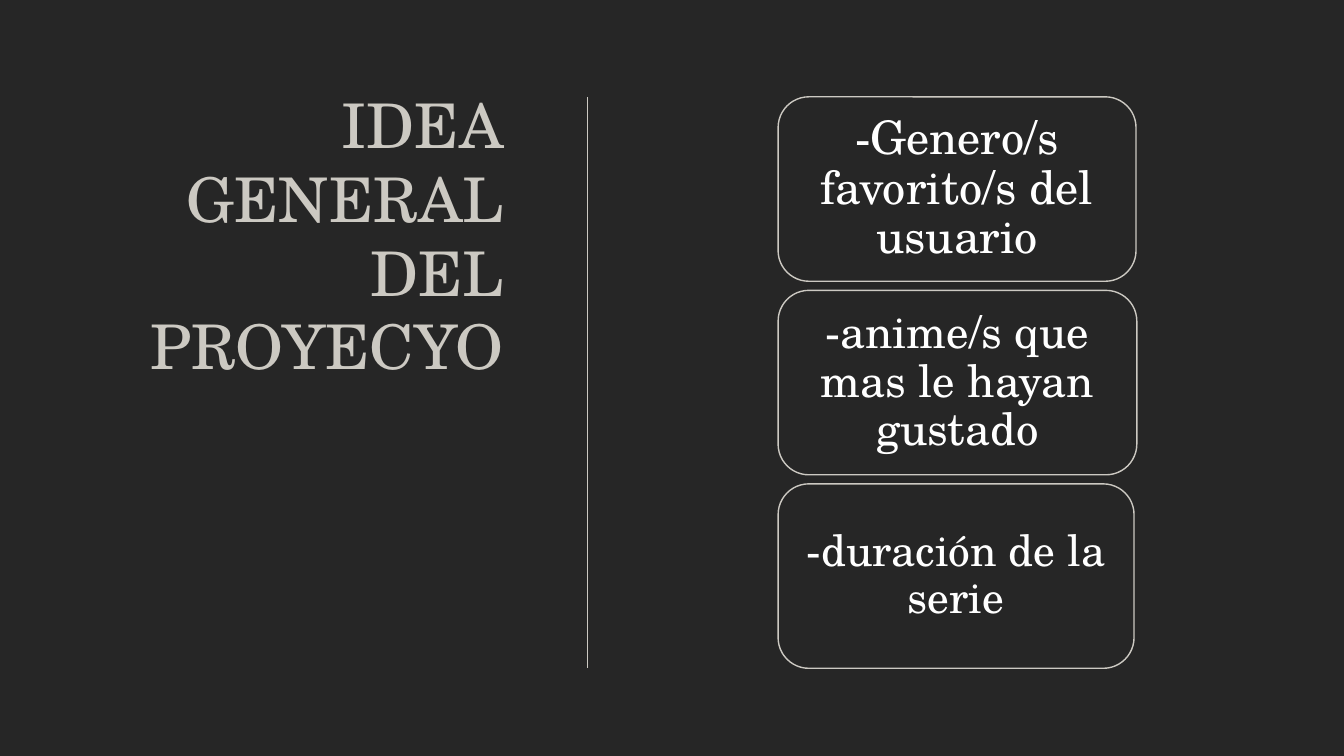
from lxml import etree
from pptx import Presentation
from pptx import util as u
from pptx.dml import color
from pptx.enum import shapes, text
from pptx.oxml import ns

HUES = {"back": "262626", "sand": "CCC9C2", "white": "FFFFFF"}
FACE = "TeX Gyre Schola"
CARDS = [
    ("-Genero/s favorito/s del usuario", 33, 9.02),
    ("-anime/s que mas le hayan gustado", 32, 9.04),
    ("-duración de la serie", 31, 8.97),
]


def tint(name):
    return color.RGBColor.from_string(HUES[name])


def write(frame, words, size, hue, align):
    frame.word_wrap = True
    para = frame.paragraphs[0]
    para.text = words
    para.alignment = align
    font = para.font
    font.name = FACE
    font.size = u.Pt(size)
    font.color.rgb = tint(hue)
    return para


def add_title(slide, left, top, width, height):
    box = slide.shapes.add_textbox(u.Cm(left), u.Cm(top), u.Cm(width), u.Cm(height))
    write(box.text_frame, "IDEA GENERAL DEL PROYECYO", 44, "sand", text.PP_ALIGN.RIGHT)


def add_rule(slide, left, top, height):
    rule = slide.shapes.add_connector(
        shapes.MSO_CONNECTOR.STRAIGHT,
        u.Cm(left), u.Cm(top), u.Cm(left), u.Cm(top + height))
    rule.line.color.rgb = tint("sand")
    rule.line.width = u.Pt(0.85)
    props = rule._element.spPr
    etree.SubElement(props, ns.qn("a:effectLst"))


def add_card(slide, left, top, width, height, words, size):
    card = slide.shapes.add_shape(
        shapes.MSO_SHAPE.ROUNDED_RECTANGLE,
        u.Cm(left), u.Cm(top), u.Cm(width), u.Cm(height))
    card.shadow.inherit = False
    card.fill.solid()
    card.fill.fore_color.rgb = tint("back")
    card.line.color.rgb = tint("sand")
    card.line.width = u.Pt(1)
    frame = card.text_frame
    frame.vertical_anchor = text.MSO_ANCHOR.MIDDLE
    frame.margin_left = frame.margin_right = u.Cm(0.35)
    frame.margin_top = frame.margin_bottom = u.Cm(0.18)
    para = write(frame, words, size, "white", text.PP_ALIGN.CENTER)
    para.line_spacing = 0.9


def add_cards(slide, left, top, height, gap):
    tall = (height - gap * (len(CARDS) - 1)) / len(CARDS)
    for row, (words, size, width) in enumerate(CARDS):
        add_card(slide, left, top + row * (tall + gap), width, tall, words, size)


def main():
    deck = Presentation()
    deck.slide_width = u.Cm(33.87)
    deck.slide_height = u.Cm(19.05)
    slide = deck.slides.add_slide(deck.slide_layouts[6])
    slide.background.fill.solid()
    slide.background.fill.fore_color.rgb = tint("back")
    add_title(slide, 2.64, 2.06, 10.31, 10.31)
    add_rule(slide, 14.81, 2.44, 14.38)
    add_cards(slide, 19.61, 2.44, 14.4, 0.23)
    deck.save("out.pptx")


if __name__ == "__main__":
    main()
